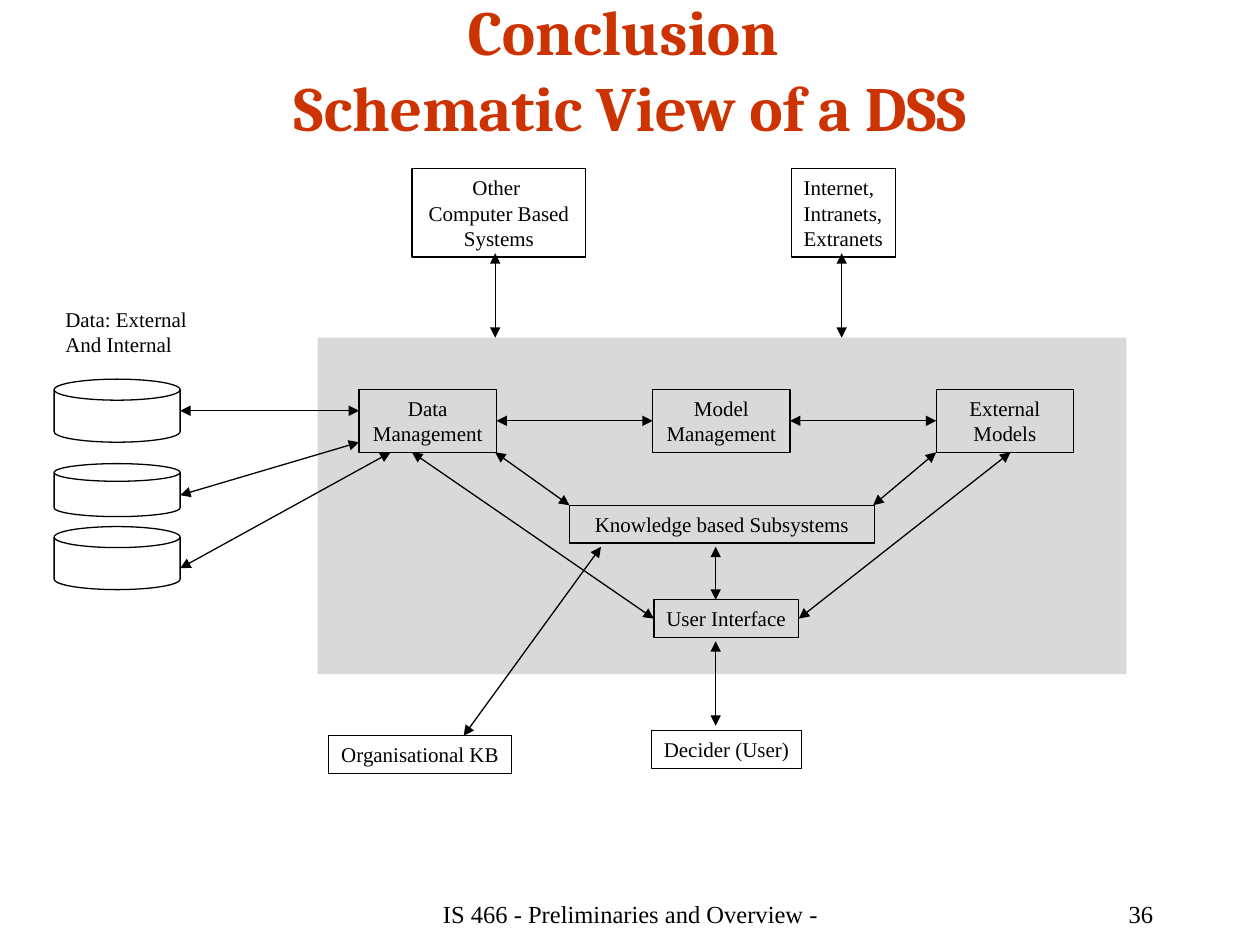
import pptx
import pptx.util
import pptx.dml.color
import pptx.enum.shapes
import pptx.enum.text
import pptx.oxml
import pptx.oxml.ns
from pptx.util import Inches

SHAPE = pptx.enum.shapes.MSO_SHAPE
ALIGN = pptx.enum.text.PP_ALIGN
ANCHOR = pptx.enum.text.MSO_ANCHOR
BLACK, RED, GREY = "000000", "CC3300", "D9D9D9"
BODY_FONT = "Times New Roman"
TOP, LEFT, BOTTOM, RIGHT = range(4)  # connection sites of a rectangle


def color(hex_value):
    return pptx.dml.color.RGBColor.from_string(hex_value)


def write(shape, lines, size=12, align=ALIGN.LEFT, anchor=ANCHOR.TOP,
          wrap=False, font=BODY_FONT, ink=BLACK, bold=False):
    """Put one paragraph per line into the shape and format it."""
    frame = shape.text_frame
    frame.text = "\n".join(lines)
    frame_format = {"word_wrap": wrap, "vertical_anchor": anchor,
                    "auto_size": pptx.enum.text.MSO_AUTO_SIZE.NONE}
    for name, value in frame_format.items():
        setattr(frame, name, value)
    font_format = {"size": pptx.util.Pt(size), "name": font, "bold": bold}
    for paragraph in frame.paragraphs:
        paragraph.alignment = align
        for run in paragraph.runs:
            for name, value in font_format.items():
                setattr(run.font, name, value)
            run.font.color.rgb = color(ink)


def add_outline(slide, kind, x, y, width, height, fill=None, line=BLACK):
    shape = slide.shapes.add_shape(
        kind, Inches(x), Inches(y), Inches(width), Inches(height))
    shape.shadow.inherit = False
    if fill:
        shape.fill.solid()
        shape.fill.fore_color.rgb = color(fill)
    else:
        shape.fill.background()
    if line:
        shape.line.color.rgb = color(line)
        shape.line.width = pptx.util.Pt(0.75)
    else:
        shape.line.fill.background()
    return shape


def add_label(slide, x, y, width, height, lines, **text_format):
    label = slide.shapes.add_textbox(
        Inches(x), Inches(y), Inches(width), Inches(height))
    write(label, lines, **text_format)


def add_arrow(slide, left, top, start, end):
    """Draw a two-headed arrow; an end is (x, y) in the region or (shape, site)."""
    def is_joined(point):
        return not isinstance(point[0], (int, float))

    def locate(point):
        if is_joined(point):
            return 0, 0
        return Inches(left + point[0]), Inches(top + point[1])

    arrow = slide.shapes.add_connector(
        pptx.enum.shapes.MSO_CONNECTOR.STRAIGHT, *locate(start), *locate(end))
    if is_joined(start):
        arrow.begin_connect(*start)
    if is_joined(end):
        arrow.end_connect(*end)
    arrow.line.color.rgb = color(BLACK)
    arrow.line.width = pptx.util.Pt(0.75)
    line = arrow.line._get_or_add_ln()
    for tag in ("a:headEnd", "a:tailEnd"):
        pptx.oxml.ns.qn(tag)
        line.append(pptx.oxml.parse_xml(
            f'<{tag} {pptx.oxml.ns.nsdecls("a")} type="triangle"/>'))
    arrow._element.spPr.append(pptx.oxml.parse_xml(
        f'<a:effectLst {pptx.oxml.ns.nsdecls("a")}/>'))


def add_title(slide, left, top, width, height):
    title = slide.shapes.title
    place = {"left": left, "top": top, "width": width, "height": height}
    for name, value in place.items():
        setattr(title, name, Inches(value))
    write(title, ["Conclusion \vSchematic View of a DSS"], size=36,
          align=ALIGN.CENTER, anchor=ANCHOR.MIDDLE, wrap=True,
          font="Cambria", ink=RED, bold=True)


def add_footer(slide, left, top, height):
    add_label(slide, left, top, 3.17, height,
              ["IS 466 - Preliminaries and Overview -"],
              size=14, align=ALIGN.CENTER, anchor=ANCHOR.MIDDLE)
    add_label(slide, left + 3.75, top, 2.08, height, ["36"],
              size=14, align=ALIGN.RIGHT, anchor=ANCHOR.MIDDLE)


def add_schematic(slide, left, top, width):
    """Draw the system panel, its components and the parties around it."""
    add_outline(slide, SHAPE.RECTANGLE, left, top + 1.34, width, 2.67,
                fill=GREY, line=None)
    components = [
        (0.75, 0, 1.38, 0.7, ["Other ", "Computer Based", "Systems"], ALIGN.CENTER),
        (3.76, 0, 0.83, 0.7, ["Internet,", "Intranets,", "Extranets"], ALIGN.LEFT),
        (0.33, 1.75, 1.09, 0.5, ["Data", "Management"], ALIGN.CENTER),
        (2.66, 1.75, 1.09, 0.5, ["Model", "Management"], ALIGN.CENTER),
        (4.91, 1.75, 1.09, 0.5, ["External", "Models"], ALIGN.CENTER),
        (2, 2.67, 2.42, 0.3, ["Knowledge based Subsystems"], ALIGN.CENTER),
        (2.67, 3.42, 1.15, 0.3, ["User Interface"], ALIGN.LEFT),
        (0.09, 4.5, 1.45, 0.3, ["Organisational KB"], ALIGN.LEFT),
        (2.65, 4.46, 1.19, 0.3, ["Decider (User)"], ALIGN.LEFT),
    ]
    boxes = {}
    for x, y, box_width, box_height, lines, align in components:
        box = add_outline(slide, SHAPE.RECTANGLE, left + x, top + y,
                          box_width, box_height)
        write(box, lines, align=align)
        boxes[lines[0]] = box

    data, model, external = boxes["Data"], boxes["Model"], boxes["External"]
    interface = boxes["User Interface"]
    arrows = [
        ((3.16, 3.75), (3.16, 4.42)),
        ((3.16, 3.42), (3.16, 3)),
        ((model, RIGHT), (external, LEFT)),
        ((data, RIGHT), (model, LEFT)),
        ((1.41, 2.25), (2, 2.67)),
        ((interface, LEFT), (0.75, 2.25)),
        ((4.91, 2.25), (4.41, 2.67)),
        ((interface, RIGHT), (5.5, 2.25)),
        ((2.25, 3), (1.16, 4.5)),
        ((1.41, 0.67), (1.41, 1.34)),
        ((4.16, 0.67), (4.16, 1.34)),
    ]
    for start, end in arrows:
        add_arrow(slide, left, top, start, end)


def add_data_sources(slide, left, top, width):
    """Draw the data stores and their arrows to data management."""
    add_label(slide, left, top, width, 0.5, ["Data: External", "And Internal"])
    stores = [
        (0.63, 0.5, (1.01, 0.88), (2.43, 0.88)),
        (1.3, 0.42, (1.01, 1.55), (2.43, 1.13)),
        (1.8, 0.5, (1.01, 2.13), (2.68, 1.21)),
    ]
    for y, height, start, end in stores:
        add_outline(slide, SHAPE.FLOWCHART_MAGNETIC_DISK,
                    left + 0.01, top + y, 1, height)
        add_arrow(slide, left, top, start, end)


def main():
    deck = pptx.Presentation()
    deck.slide_width, deck.slide_height = Inches(10), Inches(7.5)
    slide = deck.slides.add_slide(deck.slide_layouts[5])
    add_title(slide, 0, 0, 10, 1.08)
    add_schematic(slide, 2.52, 1.34, 6.42)
    add_data_sources(slide, 0.42, 2.38, 1.16)
    add_footer(slide, 3.42, 7, 0.5)
    deck.save("out.pptx")


if __name__ == "__main__":
    main()
